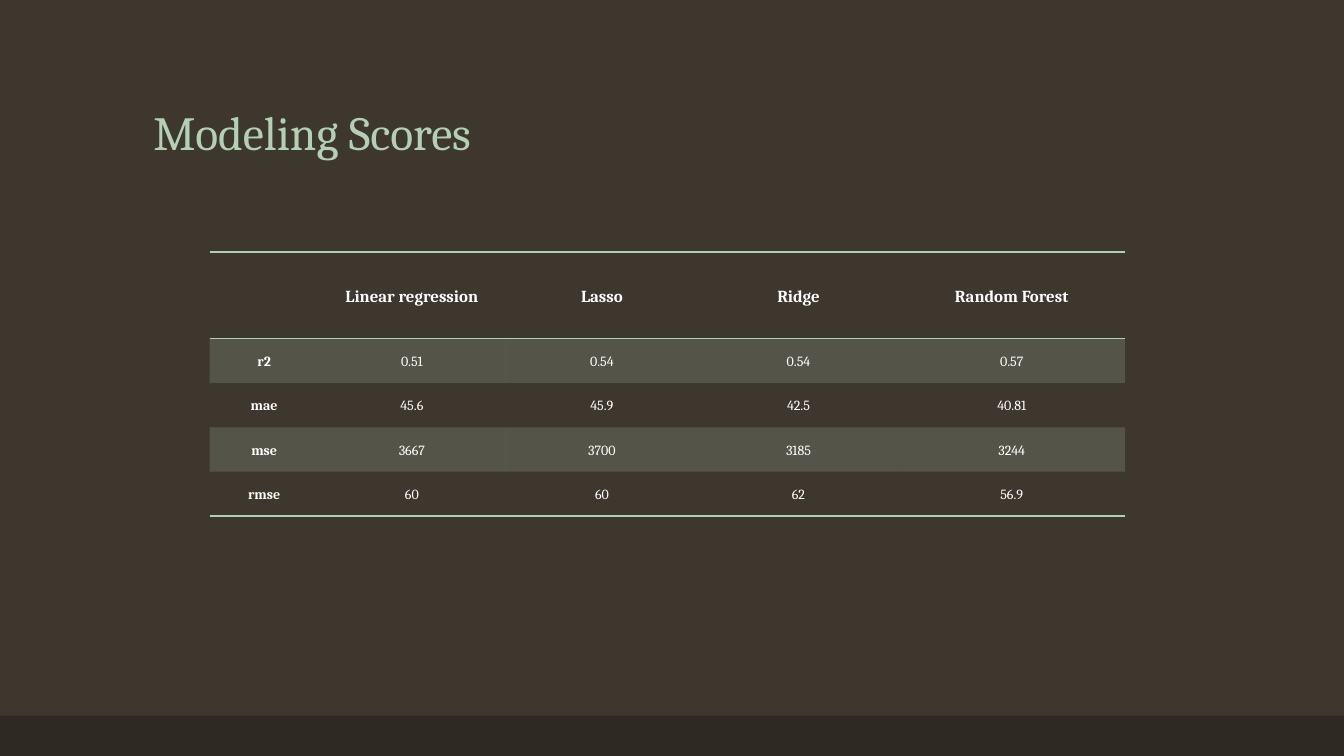
from lxml import etree
from pptx import Presentation
from pptx import util as u
from pptx.dml.color import RGBColor
from pptx.enum import shapes, text
from pptx.oxml.ns import qn

SCALE = 9144  # EMU per px, 100 px to the inch
BACKGROUND, BAR, MINT, WHITE = "3D372E", "2E2923", "B2D0B4", "FFFFFF"

COLUMNS = [108, 185, 192, 198, 225]
HEADER_HEIGHT, ROW_HEIGHT = 86, 44
SCORES = [
    ["", "Linear regression", "Lasso", "Ridge", "Random Forest"],
    ["r2", "0.51", "0.54", "0.54", "0.57"],
    ["mae", "45.6", "45.9", "42.5", "40.81"],
    ["mse", "3667", "3700", "3185", "3244"],
    ["rmse", "60", "60", "62", "56.9"],
]


def px(n):
    return u.Emu(n * SCALE)


def rgb(value):
    return RGBColor.from_string(value)


def apply(obj, values):
    for name, value in values.items():
        setattr(obj, name, value)


class ScoreSlide:
    font = "Cambria"

    def __init__(self, prs):
        self.s = prs.slides.add_slide(prs.slide_layouts[5])
        self.fill(self.s.background, BACKGROUND)

    def fill(self, target, color, alpha=None):
        target.fill.solid()
        target.fill.fore_color.rgb = rgb(color)
        if alpha is not None:
            clr = next(target._tc.tcPr.iter(qn("a:srgbClr")))
            etree.SubElement(clr, qn("a:alpha"), val=str(alpha * 1000))

    def add_text(self, tf, words, size, color, bold, align, spacing):
        p = tf.paragraphs[0]
        apply(p, {"alignment": align, "line_spacing": spacing})
        r = p.add_run()
        r.text = words
        apply(r.font, {"name": self.font, "size": u.Pt(size), "bold": bold})
        r.font.color.rgb = rgb(color)

    def bar(self, x, y, w, h, color):
        sp = self.s.shapes.add_shape(shapes.MSO_SHAPE.RECTANGLE, px(x), px(y), px(w), px(h))
        sp.shadow.inherit = False
        self.fill(sp, color)
        sp.line.fill.background()

    def title(self, x, y, w, h, words):
        sp = self.s.shapes.title
        apply(sp, {"left": px(x), "top": px(y), "width": px(w), "height": px(h)})
        apply(sp.text_frame, {
            "word_wrap": True,
            "auto_size": text.MSO_AUTO_SIZE.NONE,
            "vertical_anchor": text.MSO_ANCHOR.BOTTOM,
        })
        self.add_text(sp.text_frame, words, 34, MINT, False, text.PP_ALIGN.LEFT, 0.9)

    def borders(self, cell, ruled):
        """Rule the named sides and clear the others."""
        tcPr = cell._tc.get_or_add_tcPr()
        for i, side in enumerate("LRTB"):
            ln = etree.Element(qn("a:ln" + side), w=str(u.Pt(1)))
            if side in ruled:
                solid = etree.SubElement(ln, qn("a:solidFill"))
                etree.SubElement(solid, qn("a:srgbClr"), val=MINT)
            else:
                etree.SubElement(ln, qn("a:noFill"))
            tcPr.insert(i, ln)

    def table(self, x, y, columns, rows):
        heights = [HEADER_HEIGHT] + [ROW_HEIGHT] * (len(rows) - 1)
        table = self.s.shapes.add_table(len(rows), len(columns), px(x), px(y),
                                        px(sum(columns)), px(sum(heights))).table
        apply(table, {"first_row": False, "horz_banding": False})
        for column, width in zip(table.columns, columns):
            column.width = px(width)
        for row, height in zip(table.rows, heights):
            row.height = px(height)

        ruled_edges = {0, 1, len(rows)}
        for i, row in enumerate(rows):
            ruled = [side for side, edge in (("T", i), ("B", i + 1)) if edge in ruled_edges]
            for j, words in enumerate(row):
                cell = table.cell(i, j)
                apply(cell, {
                    "margin_left": px(7), "margin_right": px(7),
                    "margin_top": 0, "margin_bottom": 0,
                    "vertical_anchor": text.MSO_ANCHOR.MIDDLE,
                })
                if i % 2:
                    self.fill(cell, MINT, alpha=20)
                else:
                    cell.fill.background()
                self.borders(cell, ruled)
                if words:
                    self.add_text(cell.text_frame, words, 10 if i else 12, WHITE,
                                  i == 0 or j == 0, text.PP_ALIGN.CENTER, 1.15)


def main():
    prs = Presentation()
    apply(prs, {"slide_width": px(1333), "slide_height": px(750)})
    slide = ScoreSlide(prs)
    slide.bar(0, 710, 1333, 40, BAR)
    slide.title(142, 40, 1100, 125, "Modeling Scores")
    slide.table(208, 250, COLUMNS, SCORES)
    prs.save("out.pptx")


if __name__ == "__main__":
    main()
